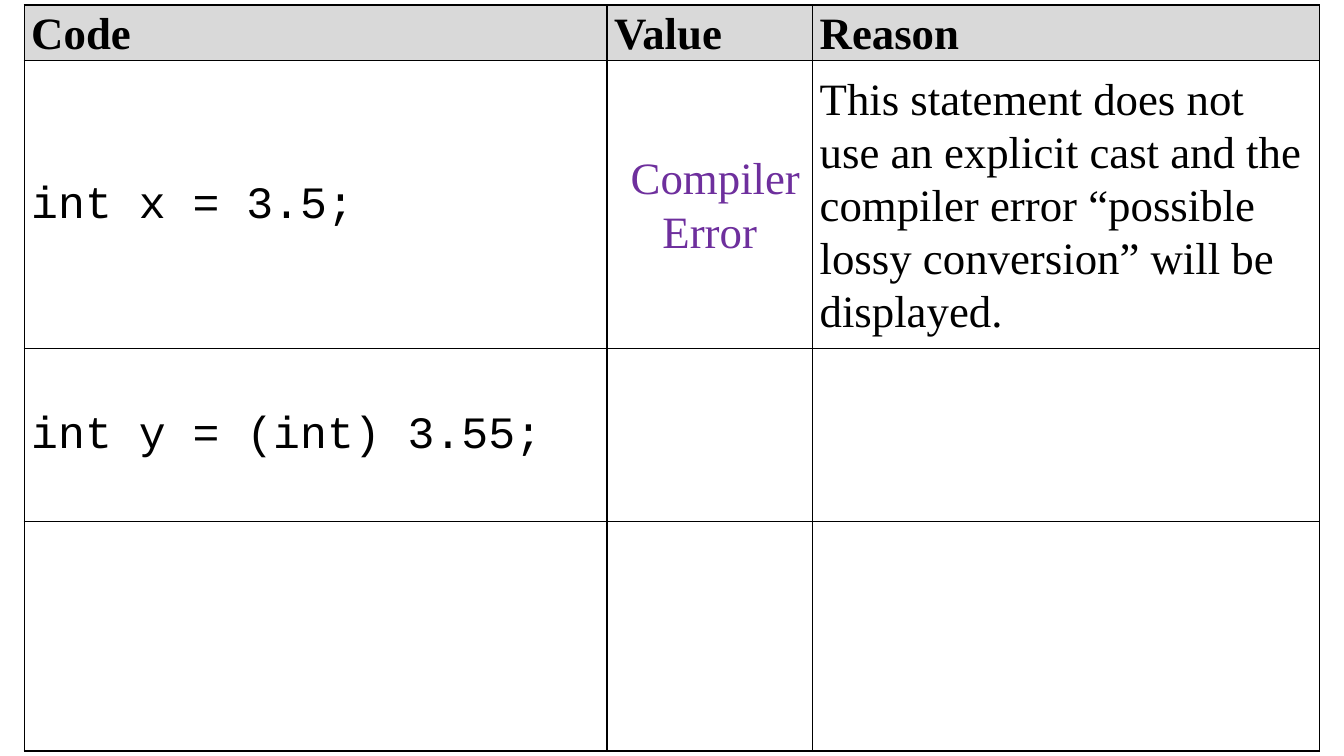
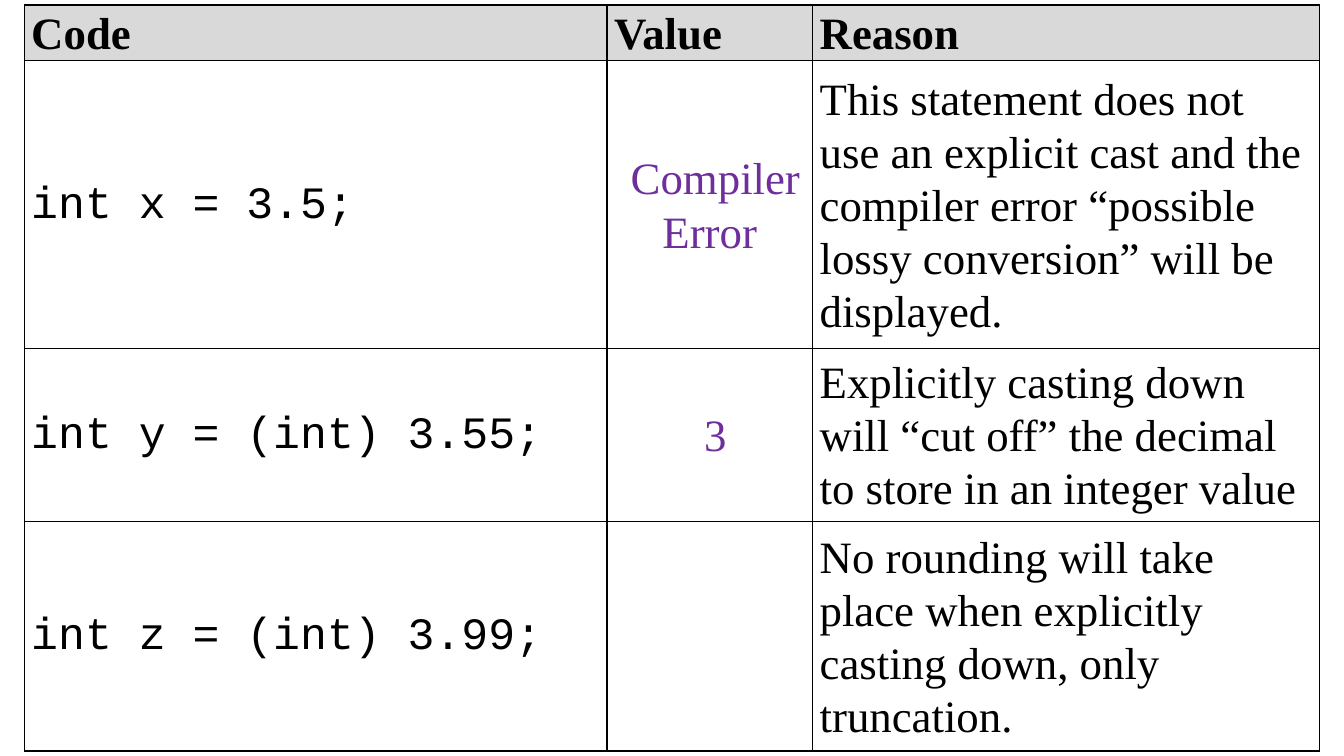
from typing import NamedTuple

from lxml.etree import SubElement
from pptx import Presentation
from pptx.dml.color import RGBColor
from pptx.enum.text import MSO_ANCHOR, PP_ALIGN
from pptx.oxml.ns import qn
from pptx.util import Inches, Pt

BLACK, WHITE, GREY, PURPLE = "000000", "FFFFFF", "D9D9D9", "6E2F9D"
SERIF, MONO = "Times New Roman", "Courier New"
HEIGHTS = (0.55, 2.86, 1.71, 2.28)


class Style(NamedTuple):
    """Look of the text in a cell."""

    font: str = SERIF
    color: str = BLACK
    align: PP_ALIGN = PP_ALIGN.LEFT
    bold: bool = False
    fill: str = WHITE


class Column(NamedTuple):
    """Heading, width and body style of a column."""

    head: str
    width: float
    style: Style


class Row(NamedTuple):
    """Texts of one table row."""

    code: str = ""
    value: str = ""
    reason: str = ""


HEAD = Style(bold=True, fill=GREY)
COLUMNS = (
    Column("Code", 5.78, Style(font=MONO)),
    Column("Value", 2.04, Style(color=PURPLE, align=PP_ALIGN.CENTER)),
    Column("Reason", 5.03, Style()),
)
LOSSY = Row(
    "int x = 3.5;",
    " Compiler Error",
    "This statement does not use an explicit cast and the compiler error "
    "“possible lossy conversion” will be displayed.",
)
CAST = Row(
    "int y = (int) 3.55;",
    " 3",
    "Explicitly casting down will “cut off” the decimal to store in an integer value",
)
TRUNC = Row(
    "int z = (int) 3.99;",
    reason="No rounding will take place when explicitly casting down, only truncation.",
)
SLIDES = (
    (LOSSY, Row(CAST.code), Row()),
    (LOSSY, CAST, TRUNC),
)


def rgb(code: str) -> RGBColor:
    """Turn a hex string into a colour."""
    return RGBColor.from_string(code)


def frame(cell) -> None:
    """Draw a thin black border on all sides of a cell."""
    props = cell._tc.get_or_add_tcPr()
    for side in ("lnL", "lnR", "lnT", "lnB"):
        line = SubElement(props, qn(f"a:{side}"), w=str(Pt(1)))
        solid = SubElement(line, qn("a:solidFill"))
        SubElement(solid, qn("a:srgbClr"), val=BLACK)


def write(cell, text: str, style: Style) -> None:
    """Fill a cell with its text and look."""
    frame(cell)
    cell.fill.solid()
    cell.fill.fore_color.rgb = rgb(style.fill)
    cell.vertical_anchor = MSO_ANCHOR.MIDDLE
    cell.margin_left = cell.margin_right = Inches(0.07)
    cell.margin_top = cell.margin_bottom = 0
    cell.text_frame.text = text
    para = cell.text_frame.paragraphs[0]
    para.alignment = style.align
    para.line_spacing = 1.07
    for run in para.runs:
        run.font.name = style.font
        run.font.size = Pt(32)
        run.font.bold = style.bold
        run.font.color.rgb = rgb(style.color)


def draw(slide, rows: tuple[Row, ...]) -> None:
    """Add the table of casts to a slide."""
    width = sum(col.width for col in COLUMNS)
    table = slide.shapes.add_table(
        len(HEIGHTS), len(COLUMNS),
        Inches(0.24), Inches(0.05), Inches(width), Inches(sum(HEIGHTS)),
    ).table
    table.horz_banding = False
    for line, height in zip(table.rows, HEIGHTS):
        line.height = Inches(height)
    for x, col in enumerate(COLUMNS):
        table.columns[x].width = Inches(col.width)
        write(table.cell(0, x), col.head, HEAD)
        for y, row in enumerate(rows, 1):
            write(table.cell(y, x), row[x], col.style)


def main() -> None:
    """Build and save the slides."""
    deck = Presentation()
    deck.slide_width, deck.slide_height = Inches(13.33), Inches(7.5)
    for rows in SLIDES:
        draw(deck.slides.add_slide(deck.slide_layouts[6]), rows)
    deck.save("out.pptx")


if __name__ == "__main__":
    main()
